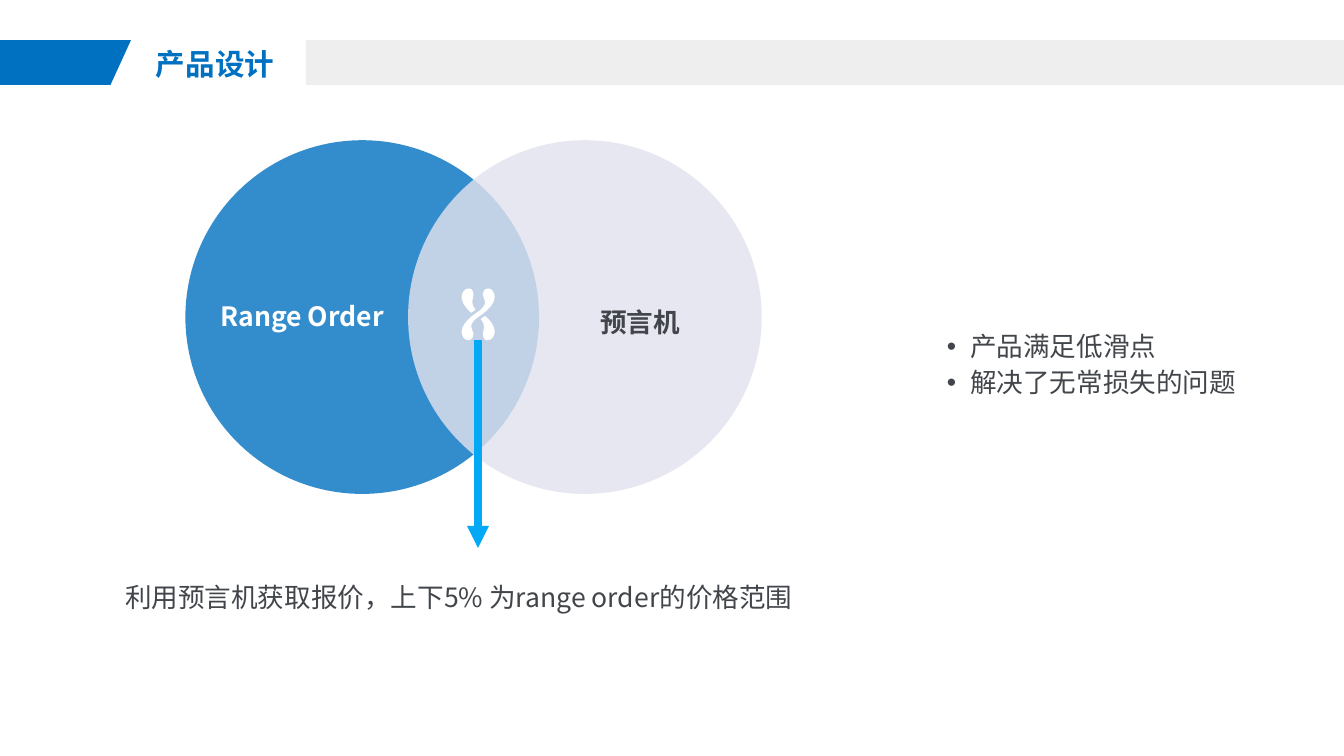
from lxml.etree import SubElement
from pptx import Presentation
from pptx.dml.color import RGBColor
from pptx.enum.shapes import MSO_CONNECTOR, MSO_SHAPE
from pptx.enum.text import MSO_ANCHOR, MSO_AUTO_SIZE, PP_ALIGN
from pptx.oxml.ns import qn
from pptx.util import Cm, Pt

FONT = "Noto Sans CJK SC"
HUES = {
    "blue": "0071C1",
    "grey": "EEEEEE",
    "lilac": "E2E2EE",
    "white": "FFFFFF",
    "ink": "42464B",
    "sky": "03A9F4",
}
WIDE, HIGH = 32.11, 18.06

GRID = (31, 49)
WING = [(9, 23), (10, 22), (11, 22), (12, 21), (12, 21), (13, 20), (13, 20),
        (11, 18), (10, 15), (10, 13), (10, 10), (11, 8), (11, 7),
        (11, 5), (11, 0), (7, 0), (2, 0), (0, 5), (0, 8),
        (0, 11), (1, 16), (9, 23)]
STRAND = [(31, 8), (31, 5), (29, 0), (25, 0), (20, 0), (20, 5), (20, 7),
          (20, 8), (22, 10), (22, 13), (22, 16), (20, 19), (14, 23),
          (2, 31), (0, 38), (0, 41)]


def color(name):
    return RGBColor.from_string(HUES[name])


def paint(shape, name, alpha=100):
    shape.shadow.inherit = False
    shape.fill.solid()
    shape.fill.fore_color.rgb = color(name)
    shape.line.fill.background()
    if alpha < 100:
        tone = shape.fill._xPr.find(qn("a:solidFill"))[0]
        SubElement(tone, qn("a:alpha"), val=str(alpha * 1000))


def place(shape, box):
    shape.left, shape.top, shape.width, shape.height = map(Cm, box)


def write(shape, lines, size, name, bold=False, align=PP_ALIGN.CENTER, dots=False):
    frame = shape.text_frame
    frame.word_wrap = True
    frame.auto_size = MSO_AUTO_SIZE.NONE
    frame.vertical_anchor = MSO_ANCHOR.TOP
    frame.margin_left = frame.margin_right = Cm(0.08)
    frame.margin_top = frame.margin_bottom = Cm(0.03)
    frame.text = "\n".join(lines)
    for para in frame.paragraphs:
        para.alignment = align
        para.line_spacing = 1.13
        para.space_before = Pt(0)
        props = para._p.get_or_add_pPr()
        if dots:
            props.set("marL", str(Cm(0.56)))
            props.set("indent", str(-Cm(0.56)))
            SubElement(props, qn("a:buFont"), typeface="Arial")
            SubElement(props, qn("a:buChar"), char="•")
        font = para.font
        font.size = Pt(size)
        font.bold = bold
        font.color.rgb = color(name)
        font.name = FONT
        SubElement(props.find(qn("a:defRPr")), qn("a:ea"), typeface=FONT)


def label(slide, box, text, name, bold=False):
    shape = slide.shapes.add_textbox(*map(Cm, box))
    write(shape, [text], 18, name, bold)


def outline(slide, loops, name):
    loops = [[(Cm(x), Cm(y)) for x, y in loop] for loop in loops]
    pen = slide.shapes.build_freeform(*loops[0][0])
    for index, loop in enumerate(loops):
        if index:
            pen.move_to(*loop[0])
        pen.add_line_segments(loop[1:], close=True)
    shape = pen.convert_to_shape()
    paint(shape, name)
    return shape


def bend(shape):
    legs = list(shape._element.iter(qn("a:lnTo")))
    for start in range(0, len(legs), 3):
        trio = legs[start:start + 3]
        arc = SubElement(trio[0].getparent(), qn("a:cubicBezTo"))
        trio[0].addprevious(arc)
        for leg in trio:
            arc.append(leg[0])
            leg.getparent().remove(leg)


def turn(knots):
    return [(GRID[0] - x, GRID[1] - y) for x, y in knots]


def header(slide, box):
    left, top, width, height = box
    base = top + height
    outline(slide, [[(left, top), (left + 3.13, top), (left + 2.64, base), (left, base)]],
            "blue")
    title = slide.shapes.title
    place(title, (left + 3.35, top, 3.58, height))
    write(title, ["产品设计"], 20, "blue", True)
    band = slide.shapes.add_shape(MSO_SHAPE.RECTANGLE, Cm(left + 7.31), Cm(top),
                                  Cm(width - 7.31), Cm(height))
    paint(band, "grey")


def helix(slide, box):
    left, top, width, height = box
    loops = [WING, turn(WING), STRAND + turn(STRAND)[1:]]
    bend(outline(slide, [[(left + x * width / GRID[0], top + y * height / GRID[1])
                          for x, y in loop] for loop in loops], "white"))


def arrow(slide, x, top, base):
    line = slide.shapes.add_connector(MSO_CONNECTOR.STRAIGHT, Cm(x), Cm(top), Cm(x), Cm(base))
    line.line.color.rgb = color("sky")
    line.line.width = Pt(5)
    SubElement(line.line._get_or_add_ln(), qn("a:tailEnd"), type="triangle")
    SubElement(line._element.spPr, qn("a:effectLst"))


def venn(slide, box):
    left, top, width, size = box
    for x, name, alpha in ((left, "blue", 80), (left + width - size, "lilac", 81)):
        disc = slide.shapes.add_shape(MSO_SHAPE.OVAL, Cm(x), Cm(top), Cm(size), Cm(size))
        paint(disc, name, alpha)
    label(slide, (left + 0.63, top + 3.69, 4.32, 0.97), "Range Order", "white", True)
    label(slide, (left + 9.21, top + 3.83, 3.3, 0.97), "预言机", "ink", True)
    helix(slide, (left + 6.6, top + 3.54, 0.79, 1.24))
    label(slide, (left - 2.22, top + 10.39, 17.5, 0.97),
          "利用预言机获取报价，上下5% 为range order的价格范围", "ink")
    arrow(slide, left + 6.99, top + 4.77, top + 9.74)


def points(slide, box):
    body = slide.placeholders[1]
    place(body, box)
    write(body, ["产品满足低滑点", "解决了无常损失的问题"], 18, "ink",
          align=PP_ALIGN.LEFT, dots=True)


def main():
    deck = Presentation()
    deck.slide_width, deck.slide_height = Cm(WIDE), Cm(HIGH)
    slide = deck.slides.add_slide(deck.slide_layouts[1])
    header(slide, (0, 0.96, WIDE, 1.07))
    venn(slide, (4.43, 3.35, 13.77, 8.45))
    points(slide, (22.54, 7.76, 7.87, 1.83))
    deck.save("out.pptx")


if __name__ == "__main__":
    main()
